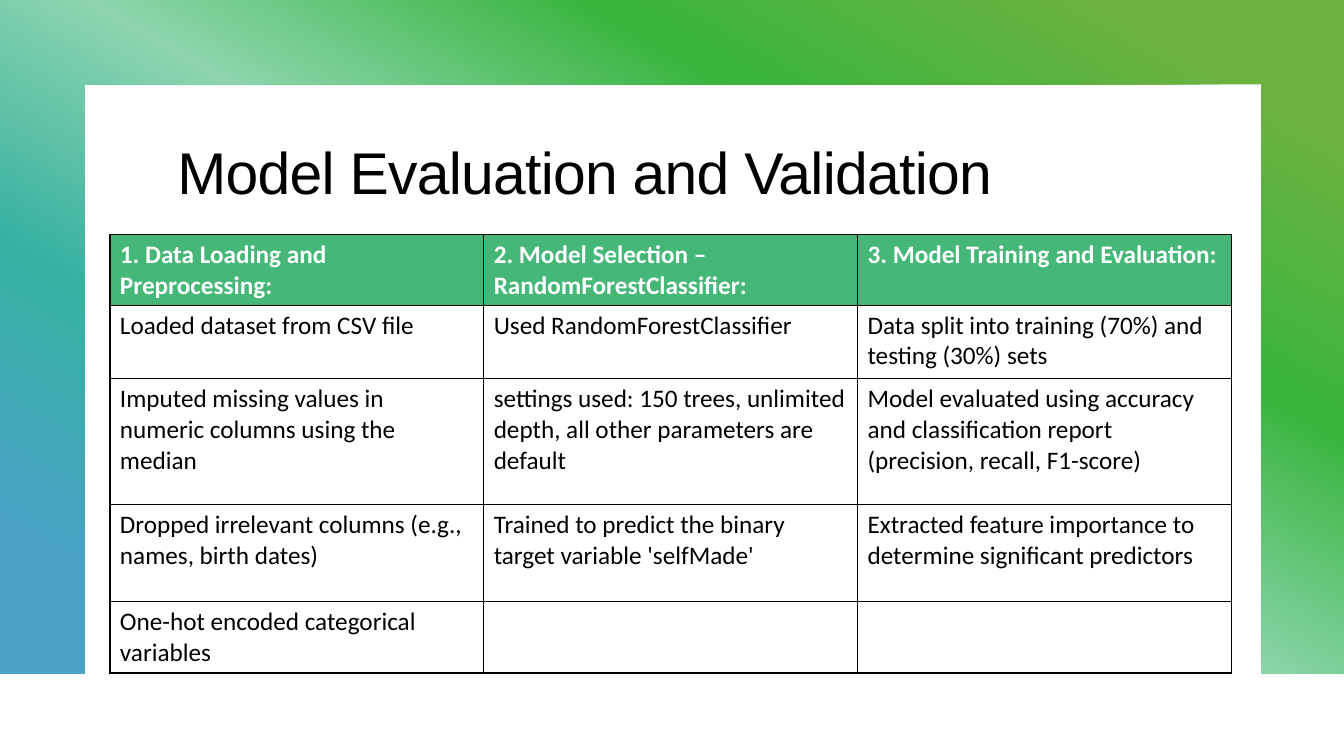
from lxml.etree import SubElement
from pptx import Presentation
from pptx.dml.color import RGBColor
from pptx.oxml.ns import qn
from pptx.util import Cm, Pt

COLOURS = {"text": "000000", "header": "45B779", "paper": "FFFFFF", "border": "000000"}
GRADIENT = {10: "6CB241", 30: "37B53C", 50: "8CD5AD", 70: "36B1A1", 90: "49A3C7"}
FRAME_CORNERS = [
    (0, 0), (33.87, 0), (33.87, 16.97), (31.78, 16.97),
    (31.78, 2.13), (2.13, 2.13), (2.13, 16.97), (0, 16.97),
]
COLUMN_WIDTH = 9.42
ROW_HEIGHTS = [1.78, 1.85, 3.18, 2.44, 1.8]
ROWS = [
    ["1. Data Loading and Preprocessing:",
     "2. Model Selection – RandomForestClassifier:",
     "3. Model Training and Evaluation:"],
    ["Loaded dataset from CSV file",
     "Used RandomForestClassifier",
     "Data split into training (70%) and testing (30%) sets"],
    ["Imputed missing values in numeric columns using the median",
     "settings used: 150 trees, unlimited depth, all other parameters are default",
     "Model evaluated using accuracy and classification report (precision, recall, F1-score)"],
    ["Dropped irrelevant columns (e.g., names, birth dates)",
     "Trained to predict the binary target variable 'selfMade'",
     "Extracted feature importance to determine significant predictors"],
    ["One-hot encoded categorical variables", "", ""],
]


def colour(name):
    return RGBColor.from_string(COLOURS[name])


def set_font(para, name, size, colour_name, bold=False):
    font = para.font
    font.name, font.size, font.bold = name, Pt(size), bold
    font.color.rgb = colour(colour_name)


def add_gradient_frame(page):
    points = [(Cm(x), Cm(y)) for x, y in FRAME_CORNERS]
    builder = page.shapes.build_freeform(*points[0])
    builder.add_line_segments(points[1:], close=True)
    frame = builder.convert_to_shape()
    frame.shadow.inherit = False
    frame.line.fill.background()
    frame.fill.gradient()
    frame.fill.gradient_angle = 240
    stops = frame.element.spPr.find(qn("a:gradFill")).find(qn("a:gsLst"))
    for stop in list(stops):
        stops.remove(stop)
    for percent, value in GRADIENT.items():
        stop = SubElement(stops, qn("a:gs"), pos=str(percent * 1000))
        SubElement(stop, qn("a:srgbClr"), val=value)


def add_title(page, text):
    box = page.shapes.add_textbox(Cm(4.22), Cm(3.43), Cm(25.4), Cm(3.73))
    box.text_frame.word_wrap = True
    para = box.text_frame.paragraphs[0]
    para.line_spacing = 0.95
    span = para.add_run()
    span.text = text
    span.font._element.set("spc", "-50")
    set_font(para, "Arial", 42, "text")


def add_borders(cell):
    properties = cell._tc.get_or_add_tcPr()
    for side in ("lnL", "lnR", "lnT", "lnB"):
        line = SubElement(properties, qn(f"a:{side}"), w=str(Pt(1)))
        fill = SubElement(line, qn("a:solidFill"))
        SubElement(fill, qn("a:srgbClr"), val=COLOURS["border"])


def add_steps_table(page):
    columns = len(ROWS[0])
    table = page.shapes.add_table(
        len(ROWS), columns, Cm(2.77), Cm(5.91),
        Cm(COLUMN_WIDTH * columns), Cm(sum(ROW_HEIGHTS)),
    ).table
    for column in table.columns:
        column.width = Cm(COLUMN_WIDTH)
    for row_index, texts in enumerate(ROWS):
        is_header = row_index == 0
        table.rows[row_index].height = Cm(ROW_HEIGHTS[row_index])
        for column_index, text in enumerate(texts):
            cell = table.cell(row_index, column_index)
            add_borders(cell)
            cell.fill.solid()
            cell.fill.fore_color.rgb = colour("header" if is_header else "paper")
            cell.text = text
            set_font(cell.text_frame.paragraphs[0], "Calibri", 18,
                     "paper" if is_header else "text", is_header)


def main():
    deck = Presentation()
    deck.slide_width, deck.slide_height = Cm(33.87), Cm(19.05)
    page = deck.slides.add_slide(deck.slide_layouts[6])
    add_gradient_frame(page)
    add_title(page, "Model Evaluation and Validation")
    add_steps_table(page)
    deck.save("out.pptx")


if __name__ == "__main__":
    main()
